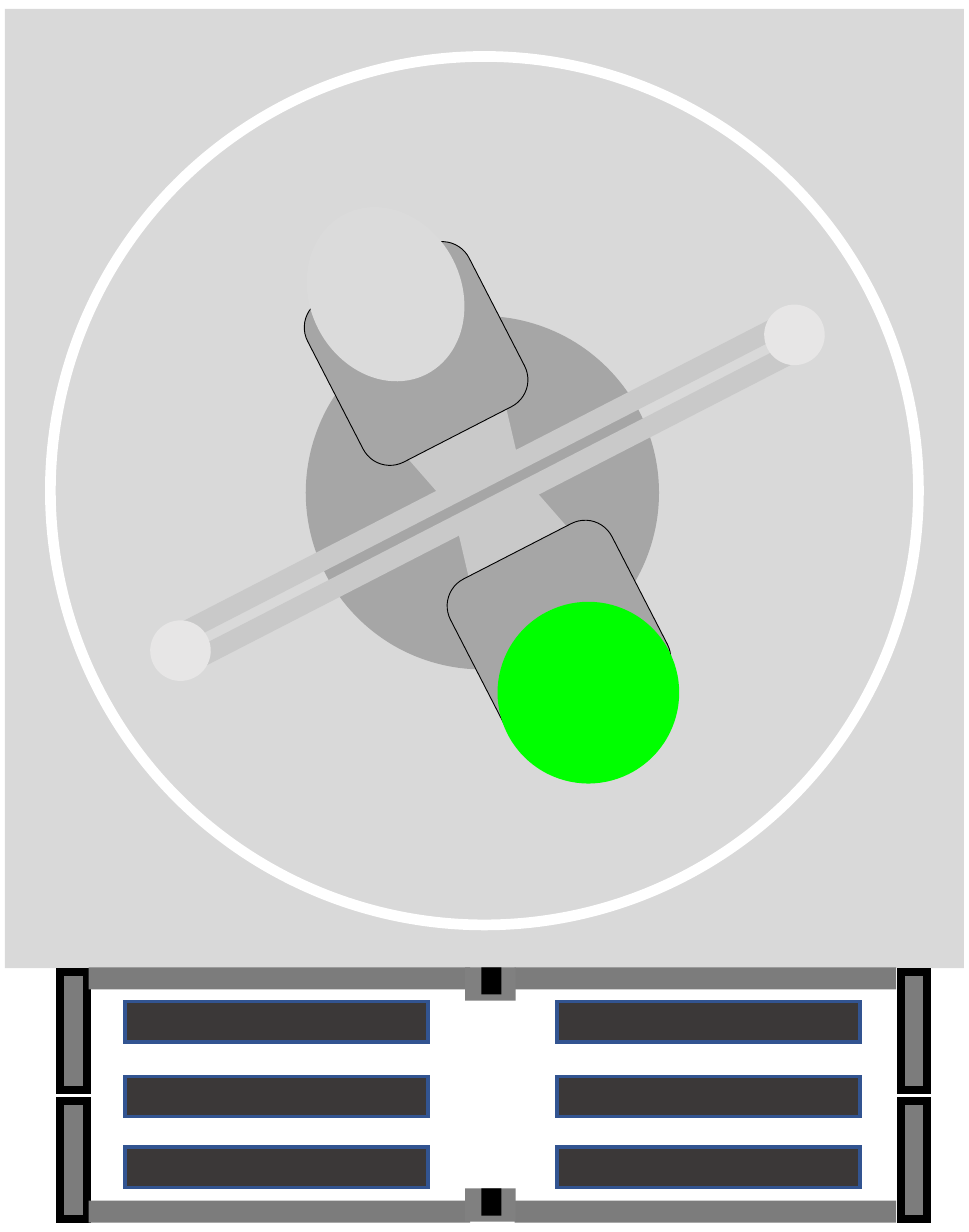
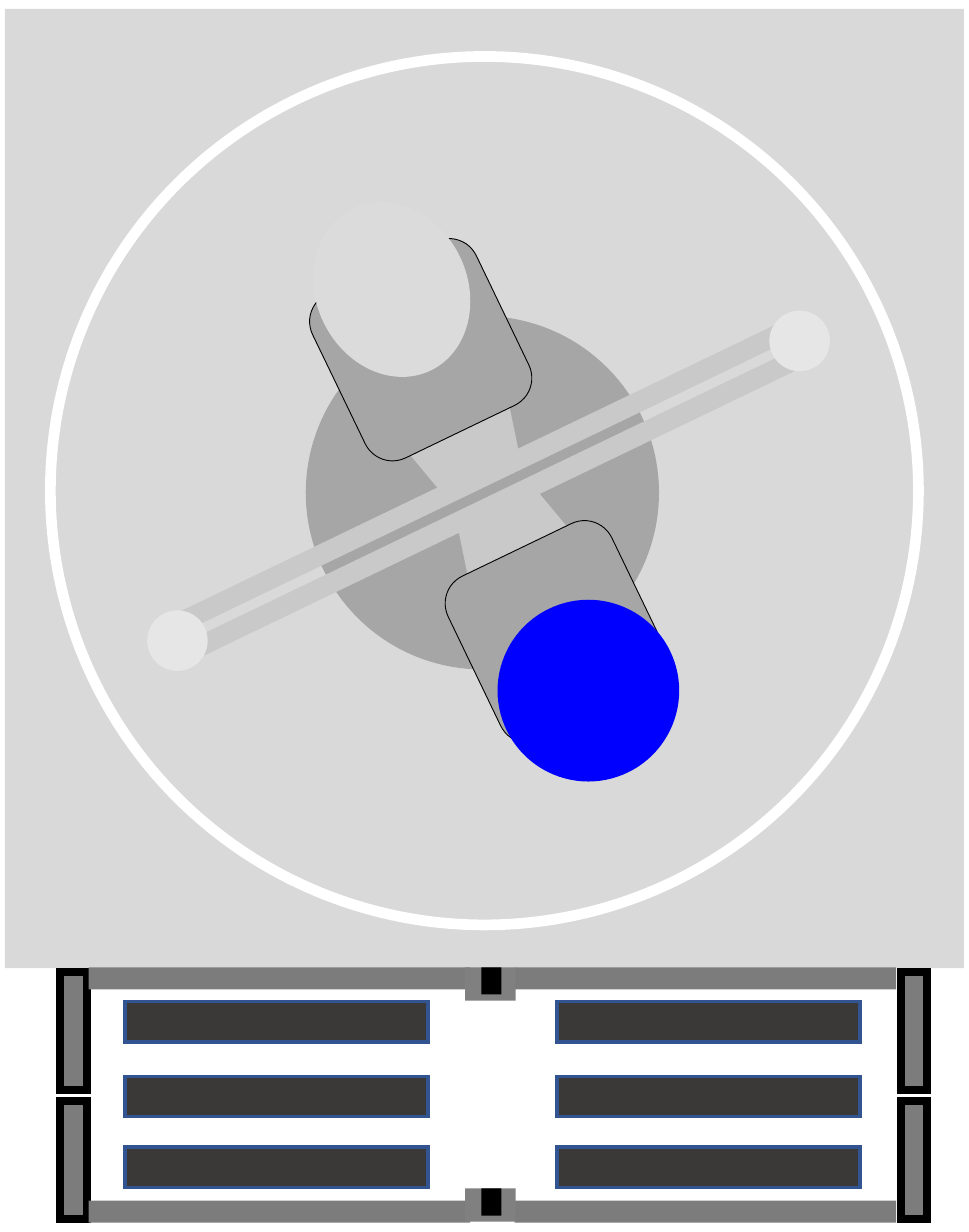
"""Two slides of a turntable rotor above a drawer, each with its own lamp colour and rotor angle."""
from itertools import product
from math import cos, radians, sin

from lxml import etree
from pptx import Presentation
from pptx.dml.color import RGBColor
from pptx.enum.shapes import MSO_SHAPE
from pptx.oxml.ns import qn
from pptx.util import Pt

RECT = MSO_SHAPE.RECTANGLE
OVAL = MSO_SHAPE.OVAL
ROUND = MSO_SHAPE.ROUNDED_RECTANGLE
TRAPEZOID = MSO_SHAPE.TRAPEZOID

PX = 3600
SLIDE_SIZE = (960, 1220)
COLORS = {
    "plate": "D9D9D9", "white": "FFFFFF", "hub": "A6A6A6", "arm": "C9C9C9",
    "tip": "E7E6E6", "cap": "DBDBDB", "frame": "7C7C7C", "clamp": "808080",
    "black": "000000", "tray": "3B3838", "tray_edge": "325491",
    "green": "00FF00", "blue": "0000FF",
}
SLIDES = [
    {"angle": 62.8, "center": (483, 488), "lamp": "green", "lamp_top": 596},
    {"angle": 64.3, "center": (484, 486), "lamp": "blue", "lamp_top": 594},
]
LAMP_LEFT, LAMP_SIZE = 493, 180

BASE = [
    (RECT, (5, 9, 950, 950), "plate", None),
    (OVAL, (50, 56, 860, 860), None, ("white", 3)),
    (OVAL, (303, 313, 350, 350), "hub", None),
]

POD_LINE = ("black", 0.25)
# kind, (across, along) from the centre, size, turn, fill, line
ROTOR_PAIRS = [
    (RECT, (15, 0), (20, 701), 0, "arm", None),
    (OVAL, (0, -342), (60, 60), 0, "tip", None),
    (TRAPEZOID, (36, 0), (109, 58), 270, "arm", None),
    (ROUND, (155, 0), (180, 180), 270, "hub", POD_LINE),
    (OVAL, (221, 0), (178, 150), 180, "cap", None),
]

FRAME_LINE = ("black", 2.25)
TRAY_LINE = ("tray_edge", 1)
# lefts, tops, size, fill, line
DRAWER_GRIDS = [
    ((60, 893), (963, 1090), (26, 117), "frame", FRAME_LINE),
    ((88, 510), (958, 1189), (378, 22), "frame", None),
    ((461,), (958, 1177), (50, 33), "clamp", None),
    ((477,), (958, 1177), (20, 27), "black", None),
    ((124, 552), (992, 1066, 1136), (300, 40), "tray", TRAY_LINE),
]


def color(name):
    return RGBColor.from_string(COLORS[name])


def add_part(shapes, kind, box, fill, line=None, rotation=0):
    sp = shapes.add_shape(kind, *(round(v * PX) for v in box))
    sp.shadow.inherit = False
    sp.rotation = rotation % 360
    if fill:
        sp.fill.solid()
        sp.fill.fore_color.rgb = color(fill)
    else:
        sp.fill.background()
    if line:
        name, width = line
        sp.line.color.rgb = color(name)
        sp.line.width = Pt(width)
        ln = sp._element.spPr.find(qn("a:ln"))
        etree.SubElement(ln, qn("a:miter"), lim="800000")
    else:
        sp.line.fill.background()


def add_base(s):
    shapes = s.shapes.add_group_shape().shapes
    for part in BASE:
        add_part(shapes, *part)


def add_rotor(s, angle, center):
    shapes = s.shapes.add_group_shape().shapes
    cx, cy = center
    for kind, (across, along), (w, h), turn, fill, line in ROTOR_PAIRS:
        for half_turn in (0, 180):
            a = radians(angle + half_turn)
            x = cx + across * cos(a) - along * sin(a)
            y = cy + across * sin(a) + along * cos(a)
            box = (x - w / 2, y - h / 2, w, h)
            add_part(shapes, kind, box, fill, line, angle + half_turn + turn)


def add_drawer(s):
    shapes = s.shapes.add_group_shape().shapes
    for lefts, tops, size, fill, line in DRAWER_GRIDS:
        for left, top in product(lefts, tops):
            add_part(shapes, RECT, (left, top, *size), fill, line)


def main():
    prs = Presentation()
    prs.slide_width, prs.slide_height = (v * PX for v in SLIDE_SIZE)
    for content in SLIDES:
        s = prs.slides.add_slide(prs.slide_layouts[6])
        add_base(s)
        add_rotor(s, content["angle"], content["center"])
        add_drawer(s)
        lamp_box = (LAMP_LEFT, content["lamp_top"], LAMP_SIZE, LAMP_SIZE)
        add_part(s.shapes, OVAL, lamp_box, content["lamp"])
    prs.save("out.pptx")


if __name__ == "__main__":
    main()
